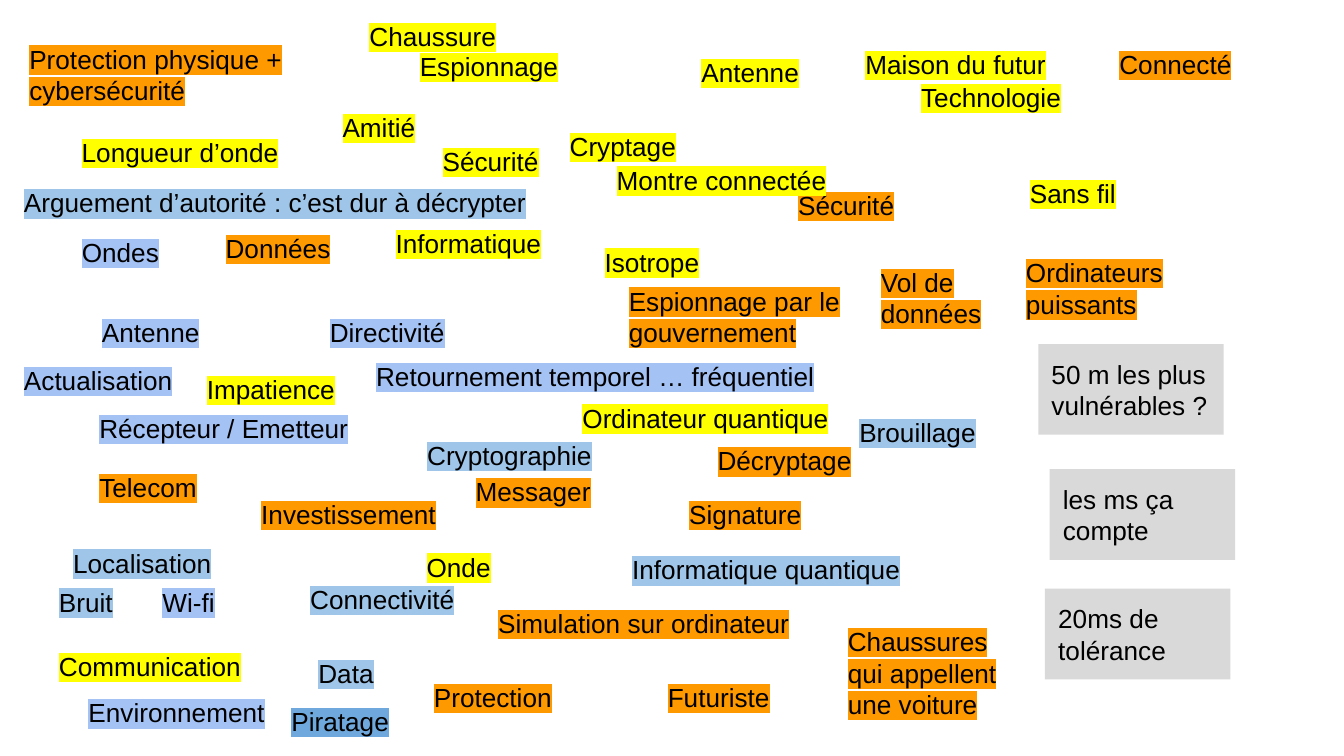
from collections import namedtuple
from dataclasses import dataclass
from lxml.etree import SubElement as Sub
from pptx import Presentation
from pptx.dml.color import RGBColor as Rgb
from pptx.enum.shapes import MSO_SHAPE as Geo
from pptx.enum.text import MSO_ANCHOR as Anchor, MSO_AUTO_SIZE as Auto, PP_ALIGN as Align
from pptx.oxml.ns import qn
from pptx.util import Emu, Pt

PX = 4572
PAD = 20
WIDE = 1602
Box = namedtuple("Box", "x y w h")


@dataclass(frozen=True)
class Theme:
    """Colours and type of the slide."""
    font: str = "Arial"
    size: int = 14
    ink: str = "000000"
    card: str = "D9D9D9"
    amber: str = "FF9900"
    yellow: str = "FFFF00"
    lilac: str = "A4C2F4"
    sky: str = "9FC5E8"
    blue: str = "6FA8DC"


T = Theme()

ORANGE = [
    (24, 44, "Protection physique + cybersécurité", 460, 2),
    (1646, 52, "Connecté", 236),
    (1168, 262, "Sécurité", 250),
    (316, 326, "Données", 202),
    (1291, 376, "Vol de données", 202, 2),
    (1507, 362, "Ordinateurs puissants", 250, 2),
    (916, 404, "Espionnage par le gouvernement", 378, 2),
    (1048, 642, "Décryptage", 256),
    (128, 681, "Telecom", 284),
    (688, 688, "Messager", 256),
    (369, 722, "Investissement", 324),
    (1006, 722, "Signature", 216),
    (720, 884, "Simulation sur ordinateur", 476, 1, Align.CENTER),
    (1242, 911, "Chaussures qui appellent une voiture", 276, 3),
    (626, 994, "Protection", 250),
    (974, 994, "Futuriste", 216),
]
YELLOW = [
    (530, 10, "Chaussure"),
    (605, 55, "Espionnage", 324),
    (1024, 64, "Antenne"),
    (1268, 52, "Maison du futur"),
    (1351, 101, "Technologie"),
    (490, 146, "Amitié"),
    (102, 183, "Longueur d’onde", 352),
    (639, 196, "Sécurité"),
    (828, 174, "Cryptage"),
    (898, 224, "Montre connectée", 452),
    (1513, 244, "Sans fil"),
    (569, 318, "Informatique"),
    (880, 346, "Isotrope", 276),
    (288, 536, "Impatience"),
    (847, 578, "Ordinateur quantique"),
    (615, 800, "Onde"),
    (68, 948, "Communication"),
]
LILAC = [
    (102, 332, "Ondes"),
    (132, 451, "Antenne"),
    (471, 451, "Directivité"),
    (16, 522, "Actualisation"),
    (540, 516, "Retournement temporel … fréquentiel"),
    (128, 594, "Récepteur / Emetteur"),
    (222, 852, "Wi-fi"),
    (112, 1017, "Environnement"),
]
SKY = [
    (16, 258, "Arguement d’autorité : c’est dur à décrypter"),
    (1259, 600, "Brouillage"),
    (616, 634, "Cryptographie"),
    (89, 794, "Localisation"),
    (921, 804, "Informatique quantique"),
    (68, 852, "Bruit"),
    (442, 848, "Connectivité"),
    (454, 958, "Data"),
]
BLUE = [(414, 1030, "Piratage")]
NOTES = [
    (0, 0, "50 m les plus vulnérables ?"),
    (17, 186, "les ms ça compte"),
    (10, 364, "20ms de tolérance"),
]


def emu(*nums):
    """Turn px into EMU."""
    return [Emu(n * PX) for n in nums]


def tall(lines):
    """Return the height in px of a box with this many lines."""
    return round(2 * PAD + 47.3 * lines)


def write(shape, text, mark=None, align=Align.LEFT, anchor=Anchor.TOP):
    """Put formatted text in a shape, highlighted if a mark is given."""
    frame = shape.text_frame
    frame.word_wrap = True
    frame.auto_size = Auto.SHAPE_TO_FIT_TEXT
    frame.vertical_anchor = anchor
    (frame.margin_left, frame.margin_top,
     frame.margin_right, frame.margin_bottom) = emu(PAD, PAD, PAD, PAD)
    para = frame.paragraphs[0]
    para.alignment = align
    run = para.add_run()
    run.text = text
    run.font.size = Pt(T.size)
    run.font.color.rgb = Rgb.from_string(T.ink)
    if mark:
        high = Sub(run._r.get_or_add_rPr(), qn("a:highlight"))
        Sub(high, qn("a:srgbClr"), val=mark)
    run.font.name = T.font


def cloud(slide, box, words, mark):
    """Scatter words of one colour over the box."""
    for x, y, text, *rest in words:
        wide, lines, align = (*rest, *(WIDE, 1, Align.LEFT)[len(rest):])
        area = emu(box.x + x, box.y + y, wide, tall(lines))
        write(slide.shapes.add_textbox(*area), text, mark=mark, align=align)


def cards(slide, box, notes):
    """Place the grey notes down the box."""
    wide = box.w - max(x for x, _, _ in notes)
    for x, y, text in notes:
        area = emu(box.x + x, box.y + y, wide, tall(2))
        card = slide.shapes.add_shape(Geo.RECTANGLE, *area)
        card.shadow.inherit = False
        card.fill.solid()
        card.fill.fore_color.rgb = Rgb.from_string(T.card)
        card.line.fill.background()
        write(card, text, anchor=Anchor.MIDDLE)


def main():
    """Build and save the slide."""
    deck = Presentation()
    page = Box(0, 0, 2000, 1125)
    deck.slide_width, deck.slide_height = emu(page.w, page.h)
    slide = deck.slides.add_slide(deck.slide_layouts[6])
    groups = [(ORANGE, T.amber), (YELLOW, T.yellow), (LILAC, T.lilac),
              (SKY, T.sky), (BLUE, T.blue)]
    for words, mark in groups:
        cloud(slide, page, words, mark)
    cards(slide, Box(1545, 512, 293, 499), NOTES)
    deck.save("out.pptx")


if __name__ == "__main__":
    main()
